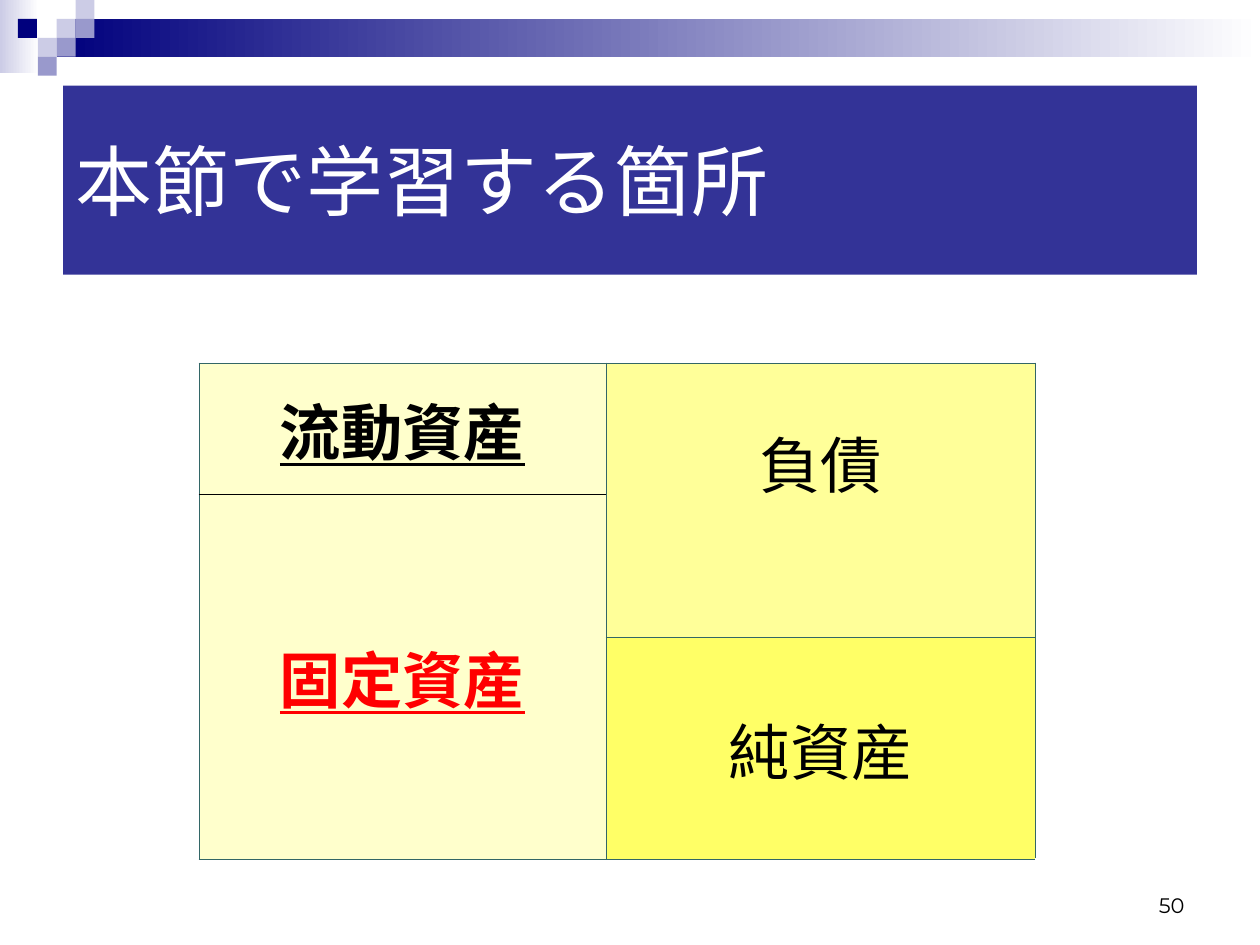
from lxml.etree import SubElement
from pptx import Presentation
from pptx.dml.color import RGBColor
from pptx.enum.shapes import MSO_SHAPE as SHAPE
from pptx.enum.text import MSO_ANCHOR as ANCHOR, MSO_AUTO_SIZE as AUTO, PP_ALIGN as ALIGN
from pptx.oxml import parse_xml
from pptx.oxml.ns import nsdecls, qn
from pptx.util import Inches, Pt

W, H = 10, 7.5
TITLE = "本節で学習する箇所"
PAGE = "50"
UNIT = 0.15
NAVY, LILAC, PALE = "00007D", "9999CC", "CCCCE6"
BANDS = [(0, 0, 0.31, 0.58, PALE), (0.45, UNIT, W - 0.45, 2 * UNIT, NAVY)]
SQUARES = [(3, 1, PALE), (4, 0, PALE), (4, 1, LILAC), (2, 2, PALE),
           (0.95, 1, NAVY), (3, 2, LILAC), (2, 3, LILAC)]
COLS = [1.81, 3.23, 3.41, 1.78]
ROWS = [1.04, 1.14, 1.76]
TABLE_LEFT, TABLE_TOP = -0.23, 2.88
CELLS = [
    {"col": 0, "rows": (0, 2), "sides": "R"},
    {"col": 3, "rows": (0, 2), "sides": "L"},
    {"text": "流動資産", "col": 1, "rows": (0, 0), "fill": "FFFFCC", "color": "000000",
     "strong": True, "edges": {"B": "000000"}},
    {"text": "固定資産", "col": 1, "rows": (1, 2), "fill": "FFFFCC", "color": "FF0000",
     "strong": True, "edges": {"T": "000000"}},
    {"text": "負債", "col": 2, "rows": (0, 1), "fill": "FFFF99", "color": "000000",
     "margins": (0.43, 0)},
    {"text": "純資産", "col": 2, "rows": (2, 2), "fill": "FFFF66", "color": "000000"},
]


def rgb(value):
    return RGBColor.from_string(value)


def paint(fill, color):
    fill.solid()
    fill.fore_color.rgb = rgb(color)


def write(tf, text, size, color, align, font="Arial"):
    p = tf.paragraphs[0]
    p.text = text
    p.alignment = align
    p.font.size, p.font.name = Pt(size), font
    p.font.color.rgb = rgb(color)
    return p


def add_rect(s, x, y, w, h):
    sp = s.shapes.add_shape(SHAPE.RECTANGLE, *map(Inches, (x, y, w, h)))
    sp.shadow.inherit = False
    sp.line.fill.background()
    return sp


def set_borders(cell, sides, edges):
    tcPr = cell._tc.get_or_add_tcPr()
    for i, side in enumerate(sides):
        tcPr.insert(i, parse_xml(
            f'<a:ln{side} {nsdecls("a")} w="{Pt(0.45)}"><a:solidFill>'
            f'<a:srgbClr val="{edges.get(side, "336666")}"/></a:solidFill></a:ln{side}>'))


def add_decoration(s):
    for x, y, w, h, color in BANDS:
        fill = add_rect(s, x, y, w, h).fill
        fill.gradient()
        fill.gradient_angle = 0
        for stop, value in zip(fill.gradient_stops, (color, "FFFFFF")):
            stop.color.rgb = rgb(value)
    for col, row, color in SQUARES:
        paint(add_rect(s, col * UNIT, row * UNIT, UNIT, UNIT).fill, color)


def add_title(s):
    sp = s.shapes.title
    sp.left, sp.top, sp.width, sp.height = map(Inches, (0.05 * W, 0.68, 0.9 * W, 0.2 * H))
    paint(sp.fill, NAVY)
    clr = sp.fill._xPr.find(qn("a:solidFill")).find(qn("a:srgbClr"))
    SubElement(clr, qn("a:alpha")).set("val", "80000")
    tf = sp.text_frame
    tf.auto_size, tf.vertical_anchor = AUTO.NONE, ANCHOR.MIDDLE
    write(tf, TITLE, 44, "FFFFFF", ALIGN.LEFT)


def add_balance_sheet(s):
    box = (TABLE_LEFT, TABLE_TOP, sum(COLS), sum(ROWS))
    table = s.shapes.add_table(len(ROWS), len(COLS), *map(Inches, box)).table
    table.first_row = table.horz_banding = False
    for col, w in zip(table.columns, COLS):
        col.width = Inches(w)
    for row, h in zip(table.rows, ROWS):
        row.height = Inches(h)
    for item in CELLS:
        first, last = item["rows"]
        cell = table.cell(first, item["col"])
        if last > first:
            cell.merge(table.cell(last, item["col"]))
        for r in range(first, last + 1):
            part = table.cell(r, item["col"])
            if "fill" in item:
                paint(part.fill, item["fill"])
            else:
                part.fill.background()
            sides = "LRTB" if r == first else "LRB" if r == last else "LR"
            set_borders(part, item.get("sides", sides), item.get("edges", {}))
        if "text" not in item:
            continue
        cell.vertical_anchor = ANCHOR.TOP if "margins" in item else ANCHOR.MIDDLE
        cell.margin_top, cell.margin_bottom = map(Inches, item.get("margins", (0.05, 0.05)))
        p = write(cell.text_frame, item["text"], 35, item["color"], ALIGN.CENTER)
        p.font.bold = p.font.underline = item.get("strong", False)


def add_page_number(s):
    tf = s.shapes.add_textbox(*map(Inches, (7.17, 6.83, 2.33, 0.5))).text_frame
    tf.word_wrap, tf.vertical_anchor = True, ANCHOR.BOTTOM
    write(tf, PAGE, 12, "000000", ALIGN.RIGHT, "Montserrat")


def main():
    prs = Presentation()
    prs.slide_width, prs.slide_height = Inches(W), Inches(H)
    s = prs.slides.add_slide(prs.slide_layouts[5])
    add_decoration(s)
    add_title(s)
    add_balance_sheet(s)
    add_page_number(s)
    prs.save("out.pptx")


if __name__ == "__main__":
    main()
